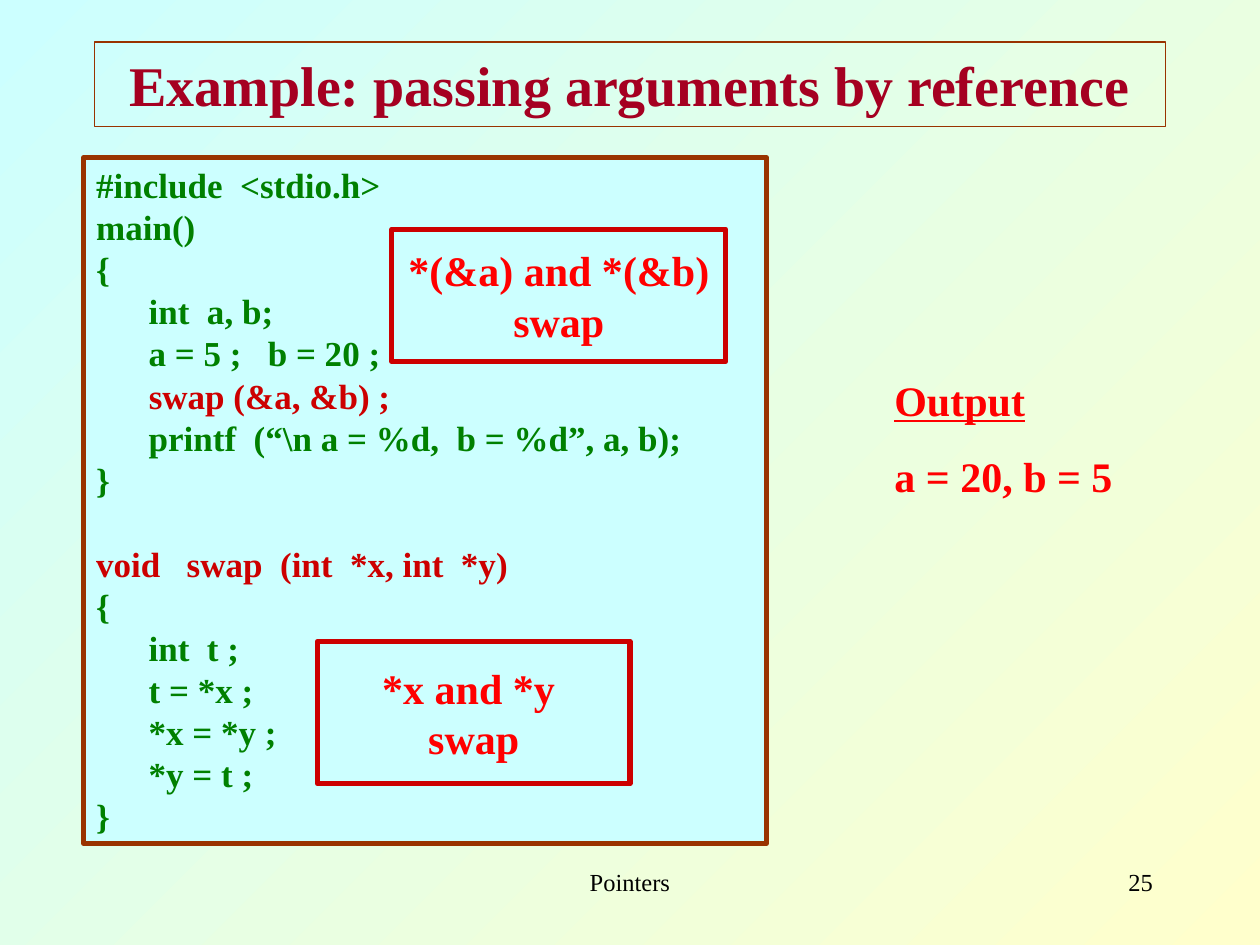
from dataclasses import dataclass

import pptx
import pptx.dml.color
import pptx.enum.shapes
import pptx.enum.text
import pptx.util
from pptx.util import Cm

ALIGN = pptx.enum.text.PP_ALIGN
ANCHOR = pptx.enum.text.MSO_ANCHOR


@dataclass(frozen=True)
class Theme:
    font: str = "Times New Roman"
    sky: str = "CCFFFF"
    cream: str = "FFFFCC"
    brown: str = "993300"
    title: str = "A50021"
    code: str = "008000"
    accent: str = "CC0000"
    note: str = "FF0000"
    footer: str = "000000"
    title_size: int = 32
    note_size: int = 24
    code_size: int = 20
    footer_size: int = 14


def rgb(value):
    return pptx.dml.color.RGBColor.from_string(value)


class SlideBuilder:
    def __init__(self, slide, theme):
        self.slide = slide
        self.theme = theme

    def background(self):
        fill = self.slide.background.fill
        fill.gradient()
        fill.gradient_angle = 315
        for stop, color in zip(fill.gradient_stops, (self.theme.sky, self.theme.cream)):
            stop.color.rgb = rgb(color)

    def panel(self, left, top, width, height, line, line_width, fill=None):
        shape = self.slide.shapes.add_shape(
            pptx.enum.shapes.MSO_SHAPE.RECTANGLE, Cm(left), Cm(top), Cm(width), Cm(height))
        shape.shadow.inherit = False
        if fill:
            shape.fill.solid()
            shape.fill.fore_color.rgb = rgb(fill)
        else:
            shape.fill.background()
        shape.line.color.rgb = rgb(line)
        shape.line.width = pptx.util.Pt(line_width)
        return shape.text_frame

    def text_area(self, left, top, width, height):
        return self.slide.shapes.add_textbox(
            Cm(left), Cm(top), Cm(width), Cm(height)).text_frame

    def add_lines(self, frame, lines, size, color, bold=True, align=ALIGN.LEFT,
                  anchor=ANCHOR.TOP, wrap=True, gaps=None):
        """Fill a frame; a line is a list of (text, color or None), gaps maps line to points before."""
        frame.word_wrap = wrap
        frame.vertical_anchor = anchor
        for index, line in enumerate(lines):
            paragraph = frame.paragraphs[0] if index == 0 else frame.add_paragraph()
            paragraph.alignment = align
            if gaps and index in gaps:
                paragraph.space_before = pptx.util.Pt(gaps[index])
            for text, run_color in line:
                run = paragraph.add_run()
                run.text = text
                run.font.name = self.theme.font
                run.font.size = pptx.util.Pt(size)
                run.font.bold = bold
                run.font.color.rgb = rgb(run_color or color)

    def title(self, text):
        frame = self.panel(1.9, 0.85, 21.6, 1.7, self.theme.brown, 0.75)
        self.add_lines(frame, [[(text, None)]], self.theme.title_size, self.theme.title,
                       align=ALIGN.CENTER, anchor=ANCHOR.MIDDLE)

    def code(self, lines, gaps):
        frame = self.panel(1.69, 3.18, 13.76, 13.82, self.theme.brown, 3, self.theme.sky)
        self.add_lines(frame, lines, self.theme.code_size, self.theme.code, gaps=gaps)

    def callout(self, left, top, width, height, lines):
        frame = self.panel(left, top, width, height, self.theme.accent, 3, self.theme.sky)
        self.add_lines(frame, [[(line, None)] for line in lines], self.theme.note_size,
                       self.theme.note, align=ALIGN.CENTER, anchor=ANCHOR.MIDDLE, wrap=False)

    def output(self, heading, result):
        frame = self.text_area(17.78, 7.42, 6.35, 2.82)
        self.add_lines(frame, [[(heading, None)], [(result, None)]], self.theme.note_size,
                       self.theme.note, gaps={1: 15})
        frame.paragraphs[0].runs[0].font.underline = True

    def footer(self, left, width, text, align):
        frame = self.text_area(left, 17.35, width, 1.27)
        self.add_lines(frame, [[(text, None)]], self.theme.footer_size, self.theme.footer,
                       bold=False, align=align)


def main():
    deck = pptx.Presentation()
    deck.slide_width, deck.slide_height = Cm(25.4), Cm(19.05)
    theme = Theme()
    builder = SlideBuilder(deck.slides.add_slide(deck.slide_layouts[6]), theme)

    builder.background()
    builder.footer(8.68, 8.04, "Pointers", ALIGN.CENTER)
    builder.footer(18.2, 5.29, "25", ALIGN.RIGHT)
    builder.title("Example: passing arguments by reference")

    main_code = [
        [("#include  <stdio.h>", None)],
        [("main()", None)],
        [("{", None)],
        [("      int  a, b;", None)],
        [("      a = 5 ;   b = 20 ;", None)],
        [("      ", None), ("swap (&a, &b) ;", theme.accent)],
        [("      printf  (“\\n a = %d,  b = %d”, a, b);", None)],
        [("}", None)],
    ]
    swap_code = [
        [("void   swap  (int  *x, int  *y)", theme.accent)],
        [("{", None)],
        [("      int  t ;", None)],
        [("      t = *x ;", None)],
        [("      *x = *y ;", None)],
        [("      *y = t ;", None)],
        [("}", None)],
    ]
    builder.code(main_code + swap_code, gaps={len(main_code): 24})

    builder.output("Output", "a = 20, b = 5")
    builder.callout(6.4, 12.93, 6.3, 2.87, ["*x and *y ", "swap"])
    builder.callout(7.9, 4.62, 6.73, 2.67, ["*(&a) and *(&b)", "swap"])

    deck.save("out.pptx")


if __name__ == "__main__":
    main()
